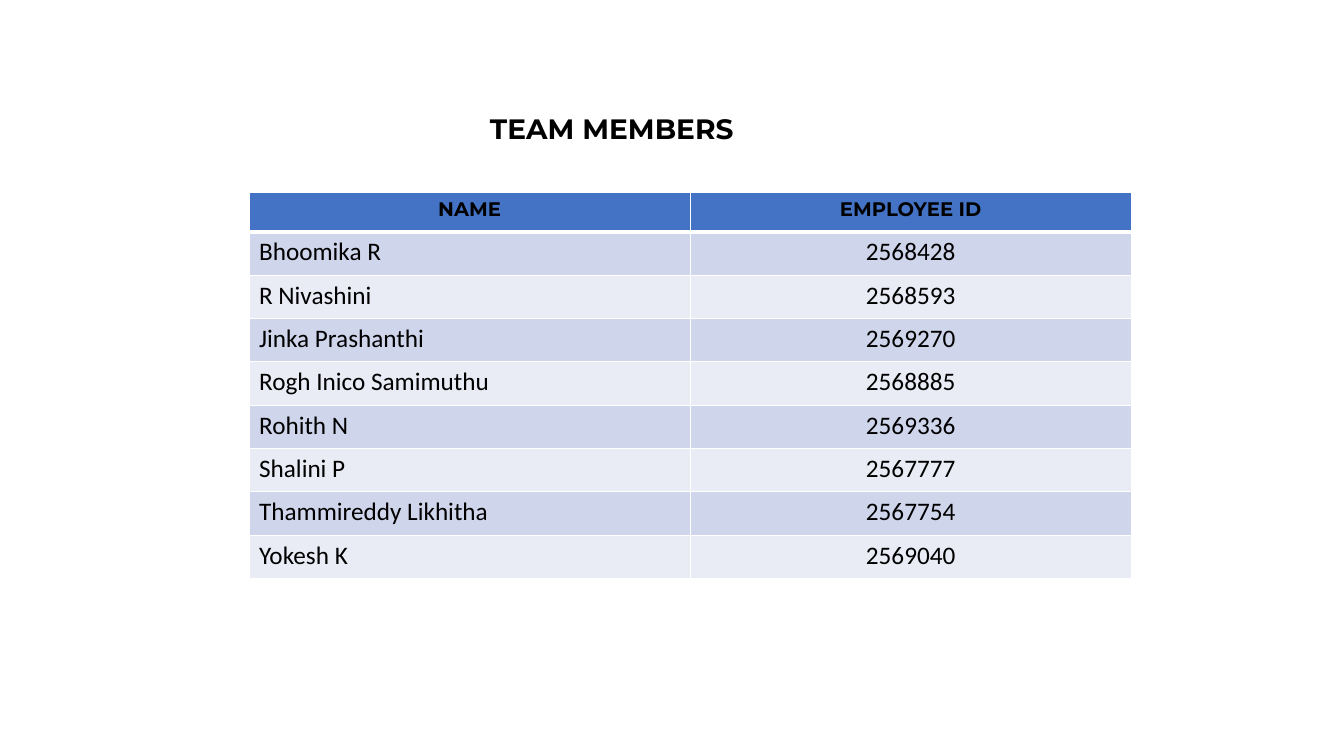
import pptx
import pptx.util
import pptx.oxml
import pptx.oxml.ns
from pptx.dml.color import RGBColor
from pptx.enum.text import MSO_ANCHOR, MSO_AUTO_SIZE, PP_ALIGN
from pptx.util import Inches

BLACK = RGBColor(0x00, 0x00, 0x00)
WHITE = RGBColor(0xFF, 0xFF, 0xFF)
BLUE = RGBColor(0x44, 0x72, 0xC4)
BANDS = [RGBColor(0xCF, 0xD5, 0xEA), RGBColor(0xE9, 0xEB, 0xF5)]

TITLE = {"name": "Montserrat", "size": pptx.util.Pt(20), "bold": True}
HEAD = {"name": "Montserrat", "size": pptx.util.Pt(14), "bold": True}
BODY = {"name": "Calibri", "size": pptx.util.Pt(18), "bold": False}

LABELS = ("NAME", "EMPLOYEE ID")
TEAM = [
    ("Bhoomika R", "2568428"),
    ("R Nivashini", "2568593"),
    ("Jinka Prashanthi", "2569270"),
    ("Rogh Inico Samimuthu", "2568885"),
    ("Rohith N", "2569336"),
    ("Shalini P", "2567777"),
    ("Thammireddy Likhitha", "2567754"),
    ("Yokesh K", "2569040"),
]


def write(frame, text, style, align):
    para = frame.paragraphs[0]
    para.alignment = align
    run = para.add_run()
    run.text = text
    for key, value in style.items():
        setattr(run.font, key, value)
    run.font.color.rgb = BLACK
    return para


def add_title(slide):
    title = slide.shapes.title
    box = {"left": 0.91, "top": 0.99, "width": 11.5, "height": 0.5}
    for key, value in box.items():
        setattr(title, key, Inches(value))
    frame = title.text_frame
    frame.auto_size = MSO_AUTO_SIZE.NONE
    frame.vertical_anchor = MSO_ANCHOR.BOTTOM
    frame.margin_left = Inches(3.95)
    para = write(frame, "TEAM MEMBERS", TITLE, PP_ALIGN.LEFT)
    para.line_spacing = 0.9


def set_edge(cell, side, width):
    """Draw one side of a cell (L, R, T or B), width in points."""
    props = cell._tc.get_or_add_tcPr()
    props.append(pptx.oxml.parse_xml(
        f'<a:ln{side} {pptx.oxml.ns.nsdecls("a")} w="{pptx.util.Pt(width)}">'
        f'<a:solidFill><a:srgbClr val="{WHITE}"/></a:solidFill></a:ln{side}>'))


def fill_cell(cell, text, style, align, color, top, base):
    for side, width in {"L": 1, "R": 1, "T": top, "B": base}.items():
        set_edge(cell, side, width)
    cell.fill.solid()
    cell.fill.fore_color.rgb = color
    write(cell.text_frame, text, style, align)


def add_team(slide):
    frame = slide.shapes.add_table(
        len(TEAM) + 1, len(LABELS),
        Inches(2.47), Inches(1.91), Inches(8.75), Inches(3.81))
    table = frame.table
    for row in table.rows:
        row.height = Inches(0.43)
    table.rows[0].height = Inches(0.39)
    for col, label in enumerate(LABELS):
        fill_cell(table.cell(0, col), label, HEAD, PP_ALIGN.CENTER, BLUE, 1, 3)
    aligns = (PP_ALIGN.LEFT, PP_ALIGN.CENTER)
    for row, member in enumerate(TEAM, 1):
        color = BANDS[(row - 1) % 2]
        top = 3 if row == 1 else 1
        for col, text in enumerate(member):
            fill_cell(table.cell(row, col), text, BODY, aligns[col],
                      color, top, 1)


def main():
    deck = pptx.Presentation()
    deck.slide_width = Inches(13.33)
    deck.slide_height = Inches(7.5)
    slide = deck.slides.add_slide(deck.slide_layouts[5])
    add_title(slide)
    add_team(slide)
    deck.save("out.pptx")


if __name__ == "__main__":
    main()
